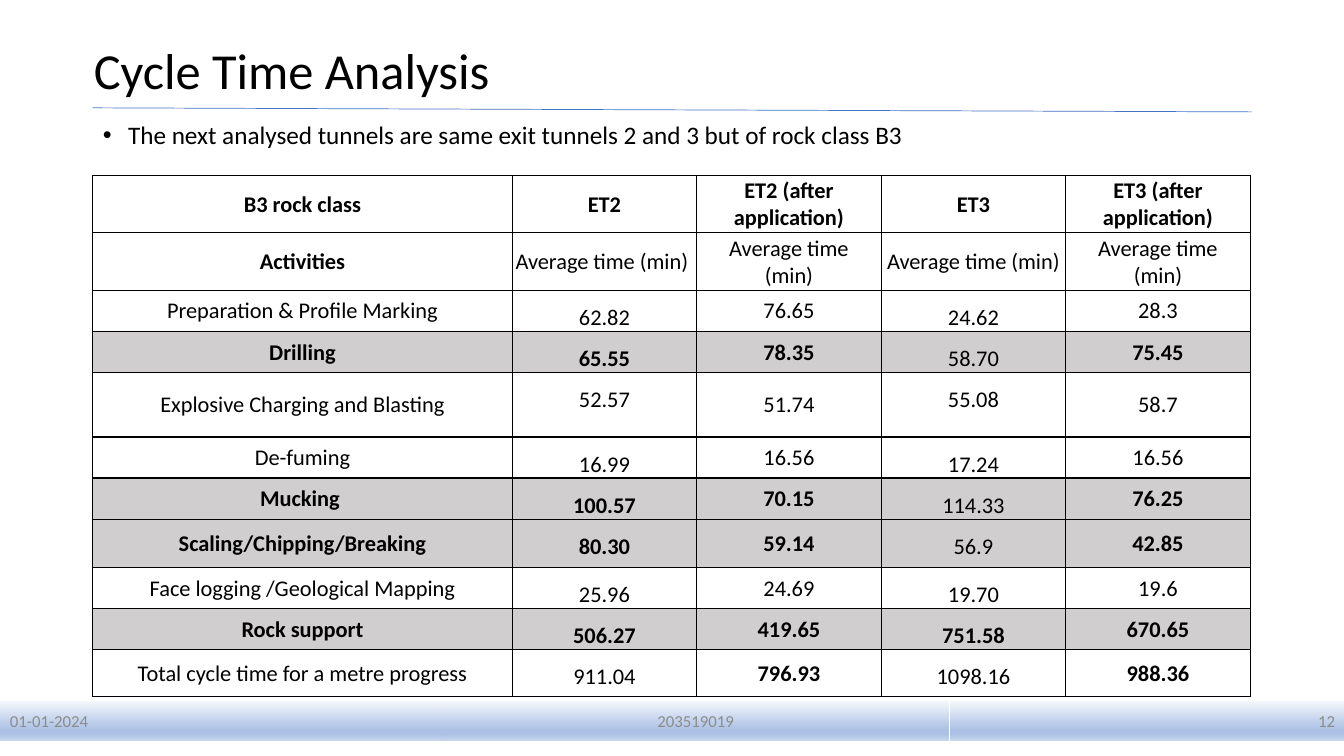
from lxml import etree
from pptx import Presentation
from pptx.dml.color import RGBColor
from pptx.enum import shapes, text
from pptx.oxml import ns
from pptx.util import Inches, Pt

FONT = "Calibri"
COLORS = {
    "text": "000000",
    "muted": "8C8C8C",
    "rule": "4472C4",
    "border": "000000",
    "plain": "FFFFFF",
    "shaded": "D0CECE",
}
BAND_STOPS = [(0, "F6F8FC"), (74, "ABC0E4"), (83, "ABC0E4"), (100, "C7D5ED")]

HEADER = ["B3 rock class", "ET2", "ET2 (after application)", "ET3", "ET3 (after application)"]
UNITS = ["Activities", "Average time (min) ", "Average time\n(min)",
         "Average time (min)", "Average time\n(min)"]
COLUMN_WIDTHS = [4.16] + [1.83] * 4
ALL = {0, 1, 2, 3, 4}
KEY = ALL - {3}
# Cells of the row, height, bold columns, fill
ROWS = [
    (HEADER, 0.57, ALL, "plain"),
    (UNITS, 0.57, {0}, "plain"),
    (["Preparation & Profile Marking", "62.82", "76.65", "24.62", "28.3"], 0.32, set(), "plain"),
    (["Drilling", "65.55", "78.35", "58.70", "75.45"], 0.29, KEY, "shaded"),
    (["Explosive Charging and Blasting", "52.57", "51.74", "55.08", "58.7"], 0.64, set(), "plain"),
    (["De-fuming", "16.99", "16.56", "17.24", "16.56"], 0.32, set(), "plain"),
    (["Mucking ", "100.57", "70.15", "114.33", "76.25"], 0.29, KEY, "shaded"),
    (["Scaling/Chipping/Breaking", "80.30", "59.14", "56.9", "42.85"], 0.48, KEY, "shaded"),
    (["Face logging /Geological Mapping", "25.96", "24.69", "19.70", "19.6"], 0.38, set(), "plain"),
    (["Rock support", "506.27", "419.65", "751.58", "670.65"], 0.29, ALL, "shaded"),
    (["Total cycle time for a metre progress", "911.04", "796.93", "1098.16", "988.36"],
     0.46, {2, 4}, "plain"),
]
HEADING_ROWS = 2
MEASURED_COLUMNS = (1, 3)


def rgb(name):
    return RGBColor.from_string(COLORS[name])


def add_child(parent, tag, **attributes):
    return etree.SubElement(parent, ns.qn(tag), **attributes)


def add_run(paragraph, words, size, color="text", bold=False):
    run = paragraph.add_run()
    run.text = words
    run.font.name = FONT
    run.font.size = Pt(size)
    run.font.bold = bold
    run.font.color.rgb = rgb(color)


def place(shape, left, top, width, height):
    shape.left, shape.top = Inches(left), Inches(top)
    shape.width, shape.height = Inches(width), Inches(height)


def fill_title(title, words):
    place(title, 0.83, 0, 11.5, 1.45)
    title.text_frame.auto_size = text.MSO_AUTO_SIZE.NONE
    title.text_frame.vertical_anchor = text.MSO_ANCHOR.MIDDLE
    paragraph = title.text_frame.paragraphs[0]
    paragraph.alignment = text.PP_ALIGN.LEFT
    paragraph.line_spacing = 0.9
    add_run(paragraph, words, 36)


def fill_body(body, words):
    place(body, 0.92, 1.17, 11.5, 4.91)
    body.text_frame.auto_size = text.MSO_AUTO_SIZE.NONE
    paragraph = body.text_frame.paragraphs[0]
    properties = paragraph._p.get_or_add_pPr()
    properties.set("marL", str(Inches(0.25)))
    properties.set("indent", str(Inches(-0.25)))
    add_child(properties, "a:buFont", typeface="Arial")
    add_child(properties, "a:buChar", char="•")
    paragraph.line_spacing = 0.9
    paragraph.space_before = Pt(0)
    add_run(paragraph, words, 18)


def add_footer_band(slide, left, width, words, alignment):
    band = slide.shapes.add_shape(shapes.MSO_SHAPE.RECTANGLE, Inches(left), Inches(6.95),
                                  Inches(width), Inches(0.4))
    band.shadow.inherit = False
    band.line.fill.background()
    band.fill.gradient()
    band.fill.gradient_angle = 270
    stops = band._element.spPr.find(".//" + ns.qn("a:gsLst"))
    for stop in list(stops):
        stops.remove(stop)
    for position, color in BAND_STOPS:
        stop = add_child(stops, "a:gs", pos=str(position * 1000))
        add_child(stop, "a:srgbClr", val=color)
    band.text_frame.vertical_anchor = text.MSO_ANCHOR.MIDDLE
    paragraph = band.text_frame.paragraphs[0]
    paragraph.alignment = alignment
    add_run(paragraph, words, 12, "muted")


def add_rule(slide):
    rule = slide.shapes.add_connector(shapes.MSO_CONNECTOR.STRAIGHT, Inches(0.92), Inches(1.07),
                                      Inches(12.42), Inches(1.11))
    rule.line.color.rgb = rgb("rule")
    rule.line.width = Pt(0.5)
    add_child(rule._element.spPr, "a:effectLst")


def set_borders(cell):
    properties = cell._tc.get_or_add_tcPr()
    for index, side in enumerate(("a:lnL", "a:lnR", "a:lnT", "a:lnB")):
        line = etree.Element(ns.qn(side), w=str(Pt(1)))
        fill = add_child(line, "a:solidFill")
        add_child(fill, "a:srgbClr", val=COLORS["border"])
        properties.insert(index, line)


def fill_cell(cell, words, bold, fill, measured):
    cell.fill.solid()
    cell.fill.fore_color.rgb = rgb(fill)
    set_borders(cell)
    side, top = (0.07, 0) if measured else (0.01, 0.01)
    cell.margin_left = cell.margin_right = Inches(side)
    cell.margin_top, cell.margin_bottom = Inches(top), 0
    cell.vertical_anchor = text.MSO_ANCHOR.TOP if measured else text.MSO_ANCHOR.MIDDLE
    frame = cell.text_frame
    for index, line in enumerate(words.split("\n")):
        paragraph = frame.add_paragraph() if index else frame.paragraphs[0]
        paragraph.alignment = text.PP_ALIGN.CENTER
        if measured:
            paragraph.line_spacing = 1.5
            paragraph.space_after = Pt(8)
        add_run(paragraph, line, 16, bold=bold)


def add_cycle_table(slide):
    height = sum(row[1] for row in ROWS)
    frame = slide.shapes.add_table(len(ROWS), len(COLUMN_WIDTHS), Inches(0.92), Inches(1.74),
                                   Inches(11.5), Inches(height))
    table = frame.table
    table.first_row = table.horz_banding = False
    for column, width in zip(table.columns, COLUMN_WIDTHS):
        column.width = Inches(width)
    for r, (values, row_height, bold_columns, fill) in enumerate(ROWS):
        table.rows[r].height = Inches(row_height)
        for c, words in enumerate(values):
            measured = r >= HEADING_ROWS and c in MEASURED_COLUMNS
            fill_cell(table.cell(r, c), words, c in bold_columns, fill, measured)


def main():
    presentation = Presentation()
    presentation.slide_width, presentation.slide_height = Inches(13.33), Inches(7.5)
    slide = presentation.slides.add_slide(presentation.slide_layouts[1])

    # Title and introduction
    fill_title(slide.shapes.title, "Cycle Time Analysis")
    fill_body(slide.placeholders[1],
              "The next analysed tunnels are same exit tunnels 2 and 3 but of rock class B3")

    # Footer
    add_footer_band(slide, 0, 4.39, "01-01-2024", text.PP_ALIGN.LEFT)
    add_footer_band(slide, 4.39, 5.02, "203519019", text.PP_ALIGN.CENTER)
    add_footer_band(slide, 9.42, 3.92, "12", text.PP_ALIGN.RIGHT)

    # Rule and table
    add_rule(slide)
    add_cycle_table(slide)

    presentation.save("out.pptx")


if __name__ == "__main__":
    main()
